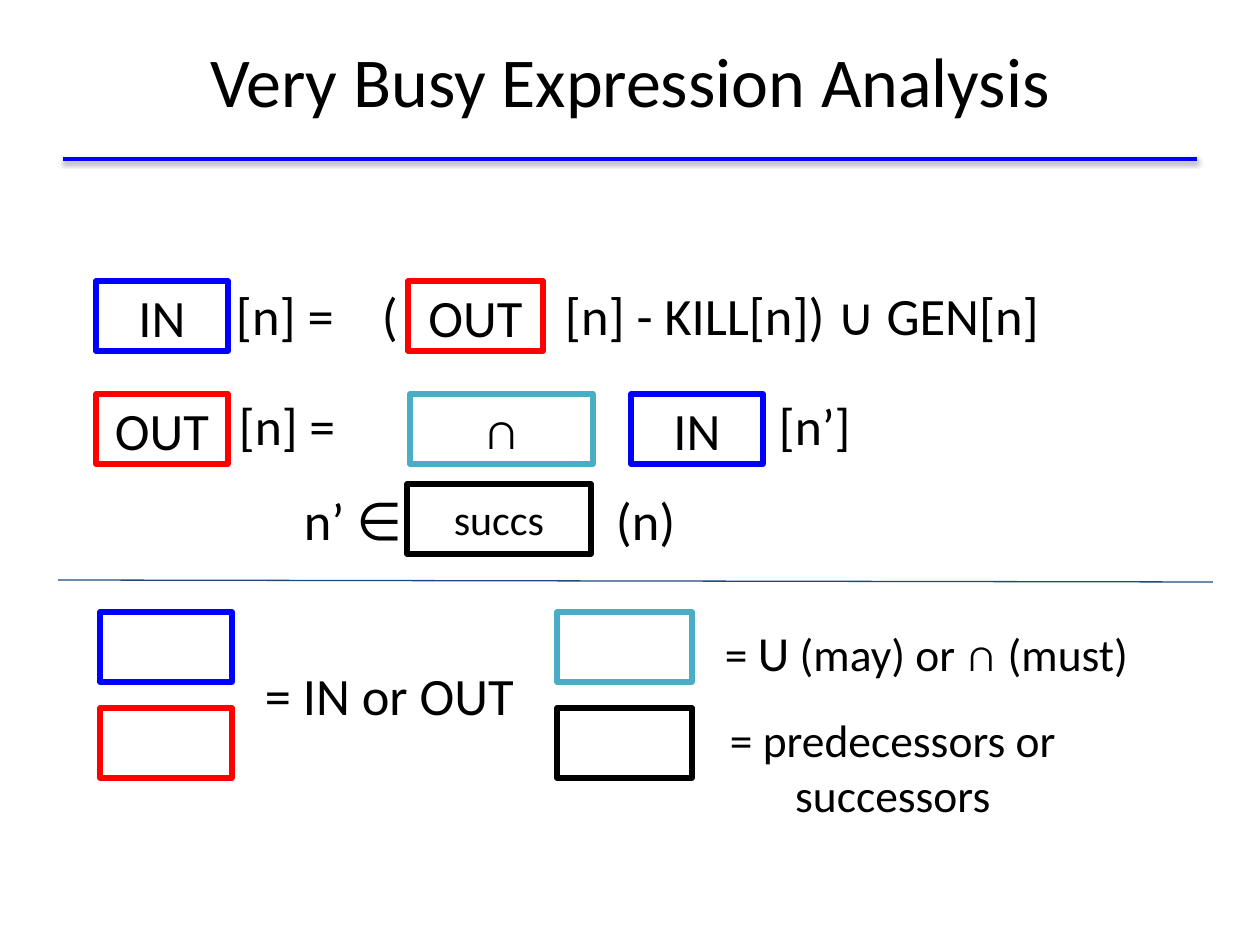
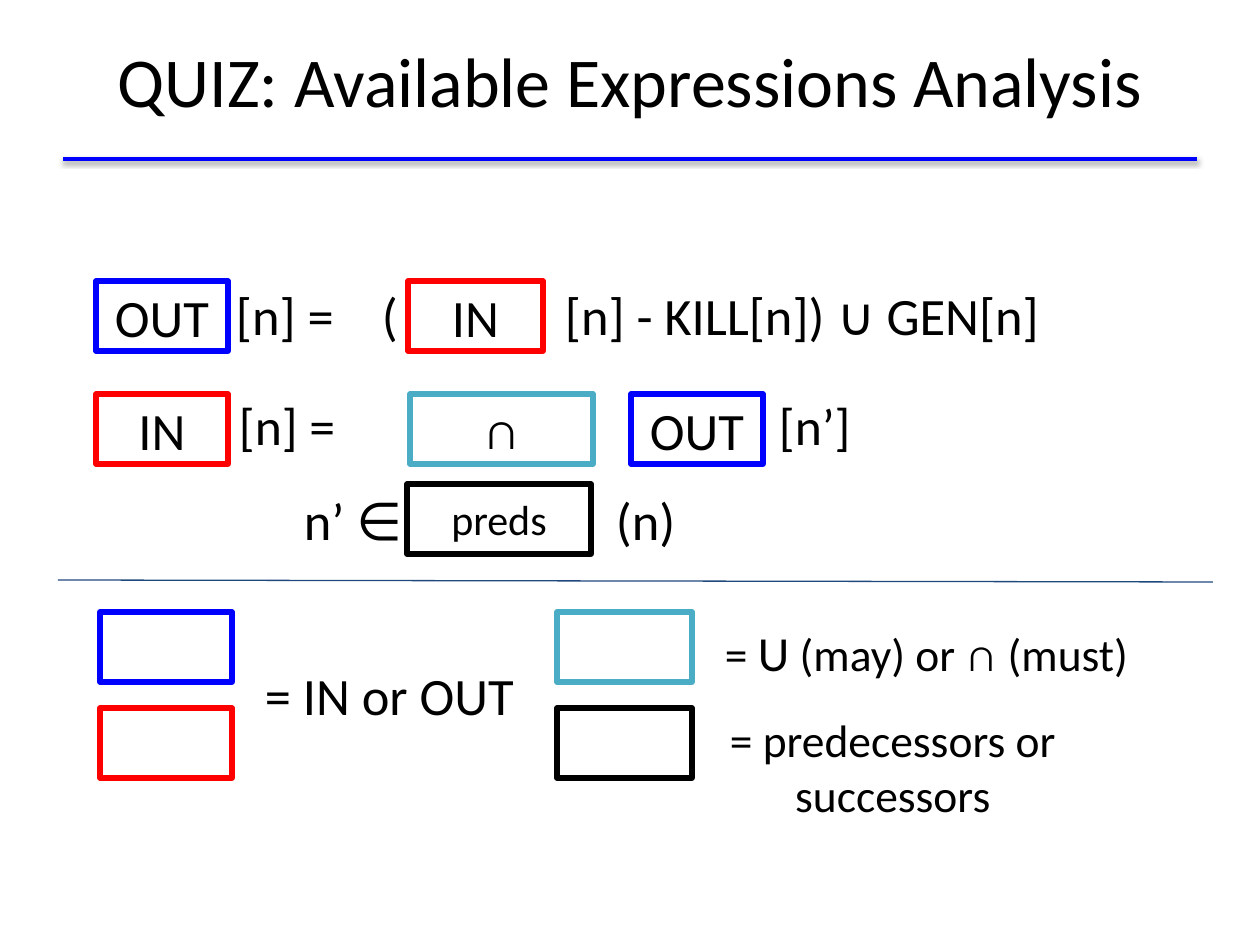
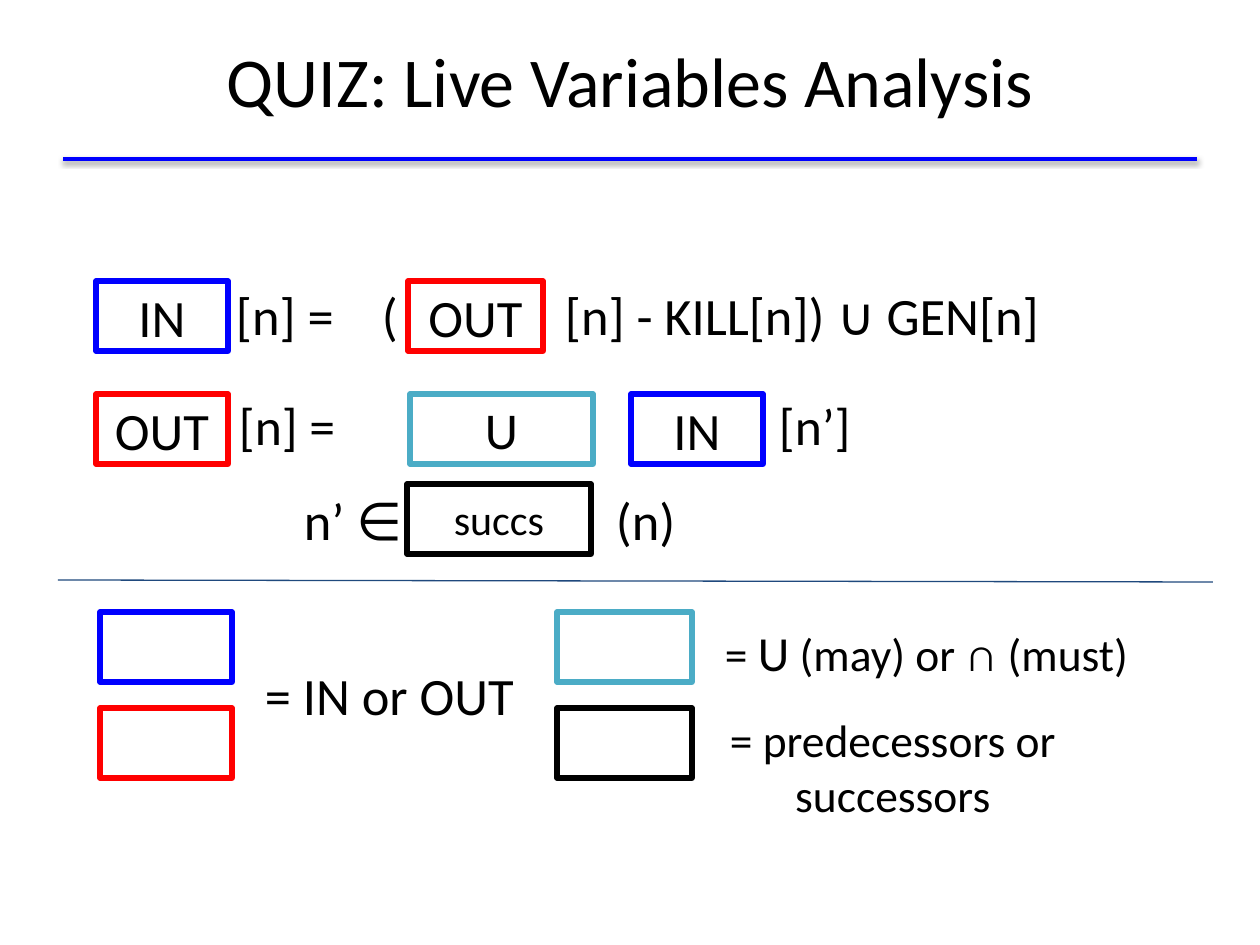
import pptx
import pptx.util
import pptx.dml.color
import pptx.enum.shapes
import pptx.enum.text
import pptx.oxml
import pptx.oxml.ns

PX = 914400 / 126
FONT = "Calibri"
BLACK = pptx.dml.color.RGBColor(0x00, 0x00, 0x00)
BLUE = pptx.dml.color.RGBColor(0x00, 0x00, 0xFF)
RED = pptx.dml.color.RGBColor(0xFF, 0x00, 0x00)
TEAL = pptx.dml.color.RGBColor(0x4B, 0xAC, 0xC6)
NAVY = pptx.dml.color.RGBColor(0x1F, 0x49, 0x7D)
LEFT = pptx.enum.text.PP_ALIGN.LEFT
CENTER = pptx.enum.text.PP_ALIGN.CENTER
TOP = pptx.enum.text.MSO_ANCHOR.TOP
MIDDLE = pptx.enum.text.MSO_ANCHOR.MIDDLE
SET_WIDTH, SET_HEIGHT = 132, 70

NO_EFFECT = f'<a:effectLst {pptx.oxml.ns.nsdecls("a")}/>'
RULE_SHADOW = f"""<a:effectLst {pptx.oxml.ns.nsdecls("a")}>
<a:outerShdw blurRad="39370" dist="20320" dir="5400000" rotWithShape="0">
<a:srgbClr val="000000"><a:alpha val="38000"/></a:srgbClr>
</a:outerShdw></a:effectLst>"""

SLIDES = [
    ("Very Busy Expression Analysis", "IN", "OUT", "∩", "succs"),
    ("QUIZ: Available Expressions Analysis", "OUT", "IN", "∩", "preds"),
    ("QUIZ: Live Variables Analysis", "IN", "OUT", "U", "succs"),
]


def px(*lengths):
    return [pptx.util.Emu(round(length * PX)) for length in lengths]


def write(shape, text, size=30, align=LEFT, anchor=TOP, inset=0, tabs=()):
    frame = shape.text_frame
    frame.word_wrap = True
    frame.vertical_anchor = anchor
    frame.margin_left, frame.margin_right, frame.margin_top, frame.margin_bottom = px(13, 13, inset, 0)
    paragraph = frame.paragraphs[0]
    if tabs:
        stops = pptx.oxml.ns.qn("a:tabLst")
        tab_list = paragraph._p.get_or_add_pPr().makeelement(stops, {})
        for position in px(*tabs):
            tab = tab_list.makeelement(pptx.oxml.ns.qn("a:tab"), {"pos": str(position), "algn": "l"})
            tab_list.append(tab)
        paragraph._p.get_or_add_pPr().append(tab_list)
    paragraph.alignment = align
    for words, points in [(text, size)] if isinstance(text, str) else text:
        run = paragraph.add_run()
        run.text = words
        run.font.name = FONT
        run.font.size = pptx.util.Pt(points)
        run.font.color.rgb = BLACK


def add_text(slide, left, top, width, height, text, **style):
    write(slide.shapes.add_textbox(*px(left, top, width, height)), text, **style)


def add_box(slide, left, top, width, color, text="", size=30):
    rectangle = pptx.enum.shapes.MSO_SHAPE.RECTANGLE
    box = slide.shapes.add_shape(rectangle, *px(left, top, width, SET_HEIGHT))
    box.shadow.inherit = False
    box.fill.background()
    box.line.color.rgb = color
    box.line.width = pptx.util.Pt(3)
    if text:
        write(box, text, size=size, align=CENTER, anchor=MIDDLE)


def add_rule(slide, start, end, color, width, effect=NO_EFFECT):
    straight = pptx.enum.shapes.MSO_CONNECTOR.STRAIGHT
    rule = slide.shapes.add_connector(straight, *px(*start, *end))
    rule.line.color.rgb = color
    rule.line.width = pptx.util.Pt(width)
    rule._element.spPr.append(pptx.oxml.parse_xml(effect))


def add_title(slide, left, top, width, height, title):
    bottom = top + height
    add_rule(slide, (left, bottom), (left + width, bottom), BLUE, 2, RULE_SHADOW)
    add_text(slide, left, top, width, height, title, size=40, align=CENTER, anchor=MIDDLE)


def add_equations(slide, left, top, result, source, operator, neighbors):
    add_text(slide, left + 65, top, 1067, 95, "\t[n] =\t(\t[n] - KILL[n]) ∪ GEN[n]",
             inset=16, tabs=(95, 241, 424))
    add_text(slide, left, top + 111, 867, 95, "\t[n] =\t[n’]", size=29.5, inset=16, tabs=(163, 703))
    add_text(slide, left + 228, top + 205, 418, 73, "n’ ∈\t(n)", inset=16, tabs=(312,))
    add_box(slide, left + 33, top + 14, SET_WIDTH, BLUE, result)
    add_box(slide, left + 345, top + 14, 135, RED, source)
    add_box(slide, left + 33, top + 127, SET_WIDTH, RED, source)
    add_box(slide, left + 347, top + 127, 183, TEAL, operator, 29.5)
    add_box(slide, left + 568, top + 127, SET_WIDTH, BLUE, result)
    add_box(slide, left + 344, top + 217, 184, BLACK, neighbors, 24)


def add_legend(slide, left, top):
    add_rule(slide, (left, top), (left + 1155, top + 2), NAVY, 0.75)
    for column, width, colors in ((42, SET_WIDTH, (BLUE, RED)), (499, 135, (TEAL, BLACK))):
        for row, color in enumerate(colors):
            add_box(slide, left + column, top + 32 + row * 96, width, color)
    add_text(slide, left + 194, top + 70, 289, 79, "= IN or OUT", inset=13)
    add_text(slide, left + 654, top + 42, 548, 60,
             [("= ", 26), ("U", 28), (" (may) or ∩ (must)", 26)], anchor=MIDDLE)
    add_text(slide, left + 639, top + 119, 392, 122, "= predecessors or successors",
             size=26, align=CENTER, inset=13)


def main():
    presentation = pptx.Presentation()
    presentation.slide_width, presentation.slide_height = px(1260, 945)
    for title, result, source, operator, neighbors in SLIDES:
        slide = presentation.slides.add_slide(presentation.slide_layouts[6])
        add_title(slide, 63, 1, 1134, 158, title)
        add_equations(slide, 63, 267, result, source, operator, neighbors)
        add_legend(slide, 58, 580)
    presentation.save("out.pptx")


if __name__ == "__main__":
    main()
